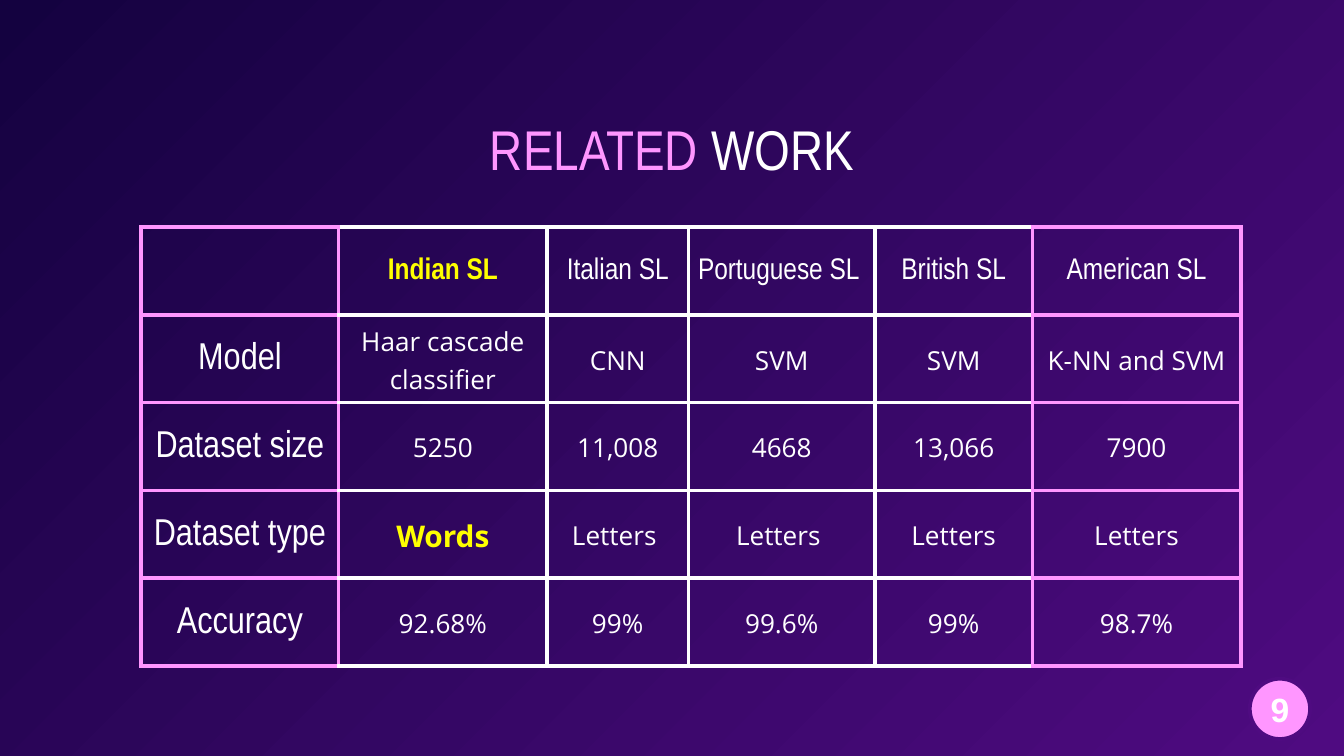
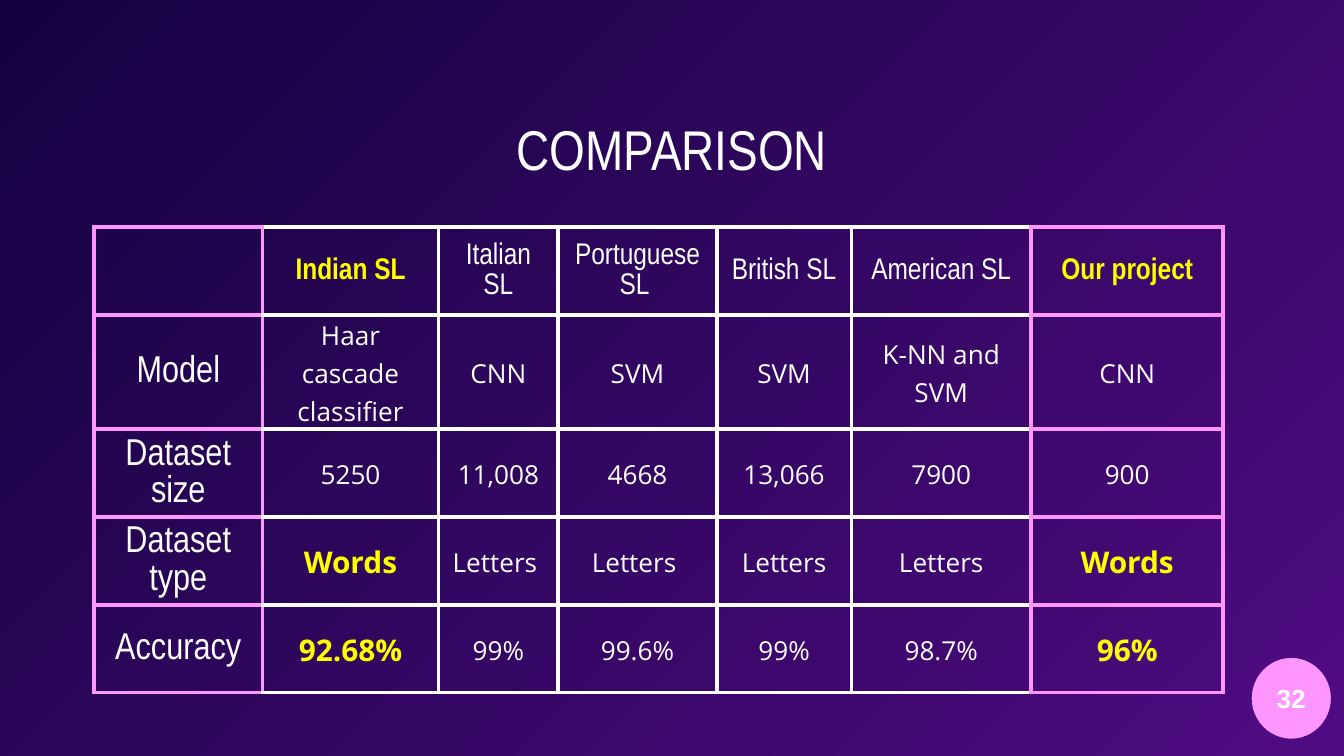
from lxml.etree import SubElement
from pptx import Presentation
from pptx.dml.color import RGBColor
from pptx.enum.shapes import MSO_SHAPE
from pptx.enum.text import MSO_ANCHOR, MSO_AUTO_SIZE, PP_ALIGN
from pptx.oxml.ns import qn
from pptx.util import Cm, Pt

NIGHT = RGBColor(0x14, 0x02, 0x40)
PURPLE = RGBColor(0x4F, 0x0B, 0x81)
PINK = RGBColor(0xFF, 0x96, 0xFF)
WHITE = RGBColor(0xFF, 0xFF, 0xFF)
YELLOW = RGBColor(0xFF, 0xFF, 0x00)

HEADING_FONT = "Arial Narrow"
BODY_FONT = "Open Sans"
NUMBER_FONT = "Arial"

TITLE_BOX = (2.03, 1.93, 21.34, 1.75)
ROW_HEIGHT = 1.66
CELL_INSET = 0.18
BORDER_WIDTH = 2.25

LANGUAGES = [
    ["", "Indian SL", "Italian SL", "Portuguese SL ", "British SL", "American SL"],
    ["Model", "Haar cascade classifier", "CNN", "SVM", "SVM", "K-NN and SVM"],
    ["Dataset size", "5250", "11,008", "4668", "13,066", "7900"],
    ["Dataset type", "Words", "Letters ", "Letters ", "Letters", "Letters"],
    ["Accuracy", "92.68%", "99%", "99.6%", "99%", "98.7%"],
]
PROJECT = ["Our project", "CNN", "900", "Words", "96%"]


def style_span(span, font, size, color, bold=False):
    span.font.name = font
    span.font.size = Pt(size)
    span.font.color.rgb = color
    span.font.bold = bold


def set_background(master):
    fill = master.background.fill
    fill.gradient()
    fill.gradient_angle = 315
    for stop, color in zip(fill.gradient_stops, (NIGHT, PURPLE)):
        stop.color.rgb = color


def add_title(page, box, words):
    title = page.shapes.title
    title.left, title.top, title.width, title.height = (Cm(side) for side in box)
    frame = title.text_frame
    frame.word_wrap = True
    frame.auto_size = MSO_AUTO_SIZE.NONE
    frame.vertical_anchor = MSO_ANCHOR.MIDDLE
    frame.margin_left = frame.margin_right = Cm(0.25)
    frame.margin_top = frame.margin_bottom = Cm(0.25)
    para = frame.paragraphs[0]
    para.alignment = PP_ALIGN.CENTER
    for text, color in words:
        span = para.add_run()
        span.text = text
        style_span(span, HEADING_FONT, 30, color)


def set_borders(cell, column, last):
    edge = column in (0, last)
    colors = {
        "a:lnL": PINK if edge or column == 1 else WHITE,
        "a:lnR": PINK if edge or column == last - 1 else WHITE,
        "a:lnT": PINK if edge else WHITE,
        "a:lnB": PINK if edge else WHITE,
    }
    properties = cell._tc.get_or_add_tcPr()
    for tag, color in colors.items():
        line = SubElement(properties, qn(tag), w=str(Pt(BORDER_WIDTH)))
        fill = SubElement(line, qn("a:solidFill"))
        SubElement(fill, qn("a:srgbClr"), val=str(color))


def fill_cell(cell, text, row, column, highlighted):
    cell.vertical_anchor = MSO_ANCHOR.MIDDLE
    cell.margin_left = cell.margin_right = Cm(CELL_INSET)
    cell.margin_top = cell.margin_bottom = 0
    cell.fill.background()
    cell.text_frame.text = text
    para = cell.text_frame.paragraphs[0]
    para.alignment = PP_ALIGN.CENTER
    para.line_spacing = 1.07
    font = HEADING_FONT if row == 0 or column == 0 else BODY_FONT
    size = 20 if column == 0 else 16 if row == 0 or highlighted else 14
    for span in para.runs:
        style_span(span, font, size, YELLOW if highlighted else WHITE, highlighted)


def add_grid(page, left, top, widths, rows, highlights):
    frame = page.shapes.add_table(
        len(rows), len(widths), Cm(left), Cm(top),
        Cm(sum(widths)), Cm(ROW_HEIGHT * len(rows)))
    table = frame.table
    table.first_row = table.horz_banding = False
    for column, width in zip(table.columns, widths):
        column.width = Cm(width)
    for row, texts in enumerate(rows):
        table.rows[row].height = Cm(ROW_HEIGHT)
        for column, text in enumerate(texts):
            cell = table.cell(row, column)
            set_borders(cell, column, len(widths) - 1)
            fill_cell(cell, text, row, column, (row, column) in highlights)


def add_page_number(page, box, number, size):
    badge = page.shapes.add_shape(MSO_SHAPE.OVAL, *(Cm(side) for side in box))
    badge.shadow.inherit = False
    badge.fill.solid()
    badge.fill.fore_color.rgb = PINK
    badge.line.color.rgb = PURPLE
    badge.line.width = Pt(2)
    frame = badge.text_frame
    frame.margin_left = frame.margin_right = 0
    frame.margin_top = frame.margin_bottom = 0
    frame.vertical_anchor = MSO_ANCHOR.MIDDLE
    frame.text = number
    para = frame.paragraphs[0]
    para.alignment = PP_ALIGN.CENTER
    style_span(para.runs[0], NUMBER_FONT, size, WHITE, True)


def add_related_work(page):
    add_title(page, TITLE_BOX, [("RELATED", PINK), (" WORK", WHITE)])
    add_grid(page, 2.67, 4.29, [3.73, 3.94, 2.67, 3.53, 2.97, 3.94],
             LANGUAGES, {(0, 1), (3, 1)})
    add_page_number(page, (23.62, 12.83, 1.14, 1.14), "9", 18)


def add_comparison(page):
    add_title(page, TITLE_BOX, [("COMPARISON", WHITE)])
    rows = [texts + [ours] for texts, ours in zip(LANGUAGES, PROJECT)]
    highlights = {(row, column) for row in (0, 3, 4) for column in (1, 6)}
    add_grid(page, 1.78, 4.29, [3.18, 3.33, 2.26, 3, 2.54, 3.4, 3.63],
             rows, highlights)
    add_page_number(page, (23.62, 12.4, 1.57, 1.6), "32", 14)


def main():
    deck = Presentation()
    deck.slide_width, deck.slide_height = Cm(25.4), Cm(14.29)
    set_background(deck.slide_master)
    for build in (add_related_work, add_comparison):
        build(deck.slides.add_slide(deck.slide_layouts[5]))
    deck.save("out.pptx")


if __name__ == "__main__":
    main()
